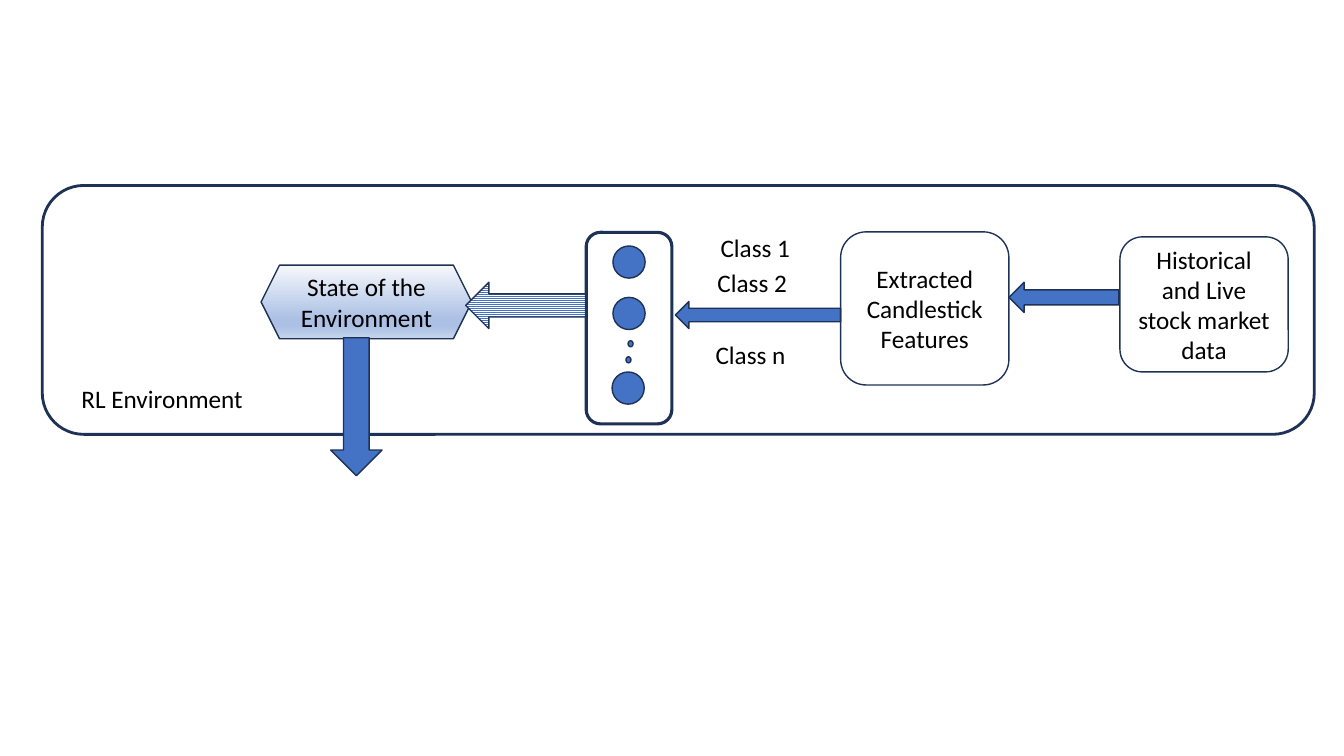
from lxml import etree
from pptx import Presentation
from pptx.dml.color import RGBColor
from pptx.enum.dml import MSO_PATTERN
from pptx.enum.shapes import MSO_SHAPE as Kind
from pptx.enum.text import MSO_ANCHOR as Anchor, MSO_AUTO_SIZE as Auto, PP_ALIGN as Align
from pptx.oxml.ns import qn
from pptx.util import Pt

BLUE = RGBColor(0x44, 0x72, 0xC4)
NAVY = RGBColor(0x1E, 0x32, 0x56)
WHITE = RGBColor(0xFF, 0xFF, 0xFF)
BLACK = RGBColor(0, 0, 0)
PALE = RGBColor(0xF6, 0xF8, 0xFC)
MID = RGBColor(0xAB, 0xC0, 0xE4)
SOFT = RGBColor(0xC7, 0xD5, 0xED)

# percent along the fade, colour
FADE = [(0, PALE), (74, MID), (83, MID), (100, SOFT)]

# All boxes are left, top, width, height in points
DATA = (800, 169.2, 120.2, 96.5)
FEATURES = (600.5, 165.6, 120.2, 109.4)
LAYER = (380.9, 203.8, 136.8, 61.2)
FRAME = (30.2, 132.5, 908.6, 177.8)
STATE = (186.5, 189.4, 150.5, 52.6)

FROM_DATA = (720.7, 201.6, 78.5, 21.6)
FROM_FEATURES = (482.4, 215.3, 118.1, 19.4)
TO_STATE = (332.6, 201.6, 85.7, 33.1)
OUTPUT = (205.2, 272.2, 98.6, 36.7)

NODE = (23, 23)
DOT = (3.6, 4.3)
NODES = [(437.8, 175.7), (437.8, 212.4), (437.2, 265.7)]
DOTS = [(448.6, 243.4), (447.1, 254.9)]

# text, left, top, width
LABELS = [
    ("Class 1", 507.6, 162.7, 85),
    ("Class 2", 505.4, 187.2, 85),
    ("Class n", 504, 239, 85),
    ("RL Environment", 51.1, 270, 163.4),
]
LABEL_H = 28.8

deck = Presentation()
deck.slide_width, deck.slide_height = Pt(960), Pt(540)
slide = deck.slides.add_slide(deck.slide_layouts[6])


def write(frame, text, align):
    frame.text = text
    for para in frame.paragraphs:
        para.alignment = align
        for run in para.runs:
            run.font.name = "Calibri"
            run.font.size = Pt(18)
            run.font.color.rgb = BLACK


def draw(kind, box, fill=None, width=1, turn=0, text=""):
    shape = slide.shapes.add_shape(kind, *map(Pt, box))
    shape.shadow.inherit = False
    shape.rotation = turn
    shape.line.color.rgb = NAVY
    shape.line.width = Pt(width)
    if fill is None:
        shape.fill.background()
    else:
        shape.fill.solid()
        shape.fill.fore_color.rgb = fill
    if text:
        shape.text_frame.vertical_anchor = Anchor.MIDDLE
        write(shape.text_frame, text, Align.CENTER)
    return shape


def fade(shape):
    """Fill the shape from top to bottom with the FADE stops."""
    shape.fill.gradient()
    shape.fill.gradient_angle = 270
    stops = shape.element.spPr.find(qn("a:gradFill")).find(qn("a:gsLst"))
    for old in list(stops):
        stops.remove(old)
    for place, color in FADE:
        stop = etree.SubElement(stops, qn("a:gs"), pos=str(place * 1000))
        etree.SubElement(stop, qn("a:srgbClr"), val=str(color))


def stripe(shape):
    shape.fill.patterned()
    shape.fill.pattern = MSO_PATTERN.LIGHT_HORIZONTAL
    shape.fill.fore_color.rgb = BLUE
    shape.fill.back_color.rgb = WHITE


def label(text, left, top, width):
    box = slide.shapes.add_textbox(Pt(left), Pt(top), Pt(width), Pt(LABEL_H))
    box.text_frame.word_wrap = True
    box.text_frame.auto_size = Auto.SHAPE_TO_FIT_TEXT
    write(box.text_frame, text, Align.LEFT)


draw(Kind.ROUNDED_RECTANGLE, DATA, text="Historical and Live stock market data")
draw(Kind.RIGHT_ARROW, FROM_DATA, BLUE, turn=180)
draw(Kind.ROUNDED_RECTANGLE, LAYER, WHITE, 2.25, 90)
draw(Kind.RIGHT_ARROW, FROM_FEATURES, BLUE, turn=180)
draw(Kind.ROUNDED_RECTANGLE, FRAME, width=2)
fade(draw(Kind.HEXAGON, STATE, text="State of the Environment"))
stripe(draw(Kind.RIGHT_ARROW, TO_STATE, turn=180))
for size, spots in ((NODE, NODES), (DOT, DOTS)):
    for spot in spots:
        draw(Kind.FLOWCHART_CONNECTOR, spot + size, BLUE)
for item in LABELS:
    label(*item)
draw(Kind.RIGHT_ARROW, OUTPUT, BLUE, turn=90)
draw(Kind.ROUNDED_RECTANGLE, FEATURES, text="Extracted Candlestick\nFeatures")

deck.save("out.pptx")
